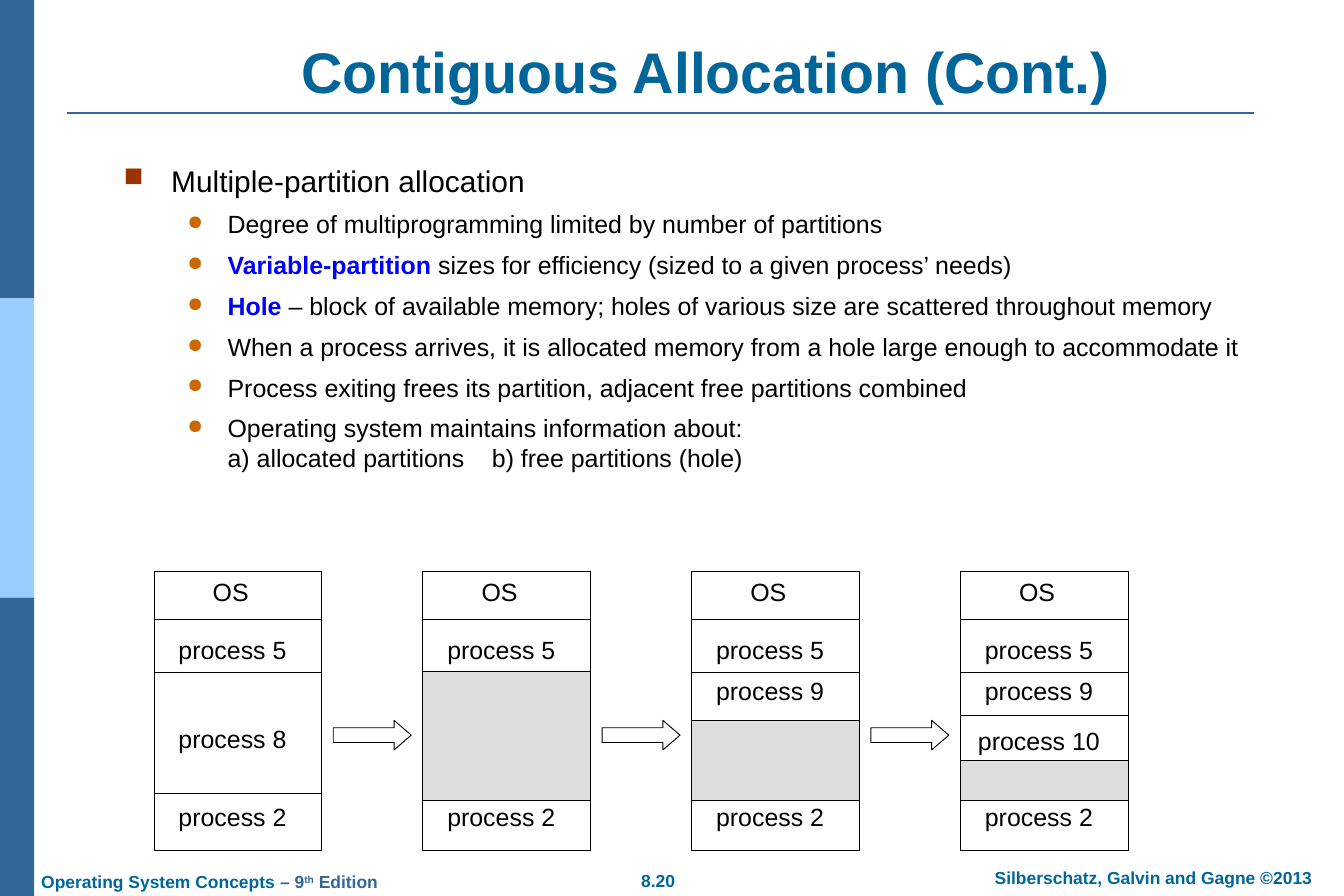
"""Build the Contiguous Allocation slide with its four memory-map columns."""
from lxml.etree import SubElement
from pptx import Presentation
from pptx.dml.color import RGBColor
from pptx.enum.shapes import MSO_CONNECTOR, MSO_SHAPE
from pptx.enum.text import MSO_ANCHOR, PP_ALIGN
from pptx.oxml.ns import qn
from pptx.util import Pt

PX = 9144
TEAL, NAVY, SKY, BLUE = "006699", "336699", "99CCFF", "0000FF"
BLACK, WHITE, GREY = "000000", "FFFFFF", "DDDDDD"
LEFT, CENTER = PP_ALIGN.LEFT, PP_ALIGN.CENTER
RECT, ARROW = MSO_SHAPE.RECTANGLE, MSO_SHAPE.RIGHT_ARROW

deck = Presentation()
deck.slide_width, deck.slide_height = 1500 * PX, 1000 * PX
page = deck.slides.add_slide(deck.slide_layouts[6])


def add_spans(para, spans, size):
    for text, color, bold in spans:
        for index, line in enumerate(text.split("\v")):
            if index:
                para.add_line_break()
            span = para.add_run()
            span.text = line
            span.font.name, span.font.size, span.font.bold = "Arial", Pt(size), bold
            span.font.color.rgb = RGBColor.from_string(color)


def add_text(place, spans, size, align=CENTER, anchor=MSO_ANCHOR.TOP, wrap=True):
    box = page.shapes.add_textbox(*(value * PX for value in place))
    frame = box.text_frame
    frame.word_wrap, frame.vertical_anchor = wrap, anchor
    frame.margin_left = frame.margin_right = 14 * PX
    frame.margin_top = frame.margin_bottom = 7 * PX
    para = frame.paragraphs[0]
    para.alignment = align
    add_spans(para, spans, size)
    return frame


COLUMN_TOP, COLUMN_WIDTH, COLUMN_HEIGHT, HOLE_BOTTOM = 638, 187, 311, 893
columns = [
    {"dividers": [691, 751, 886], "hole": None,
     "processes": [(5, 701), (8, 800), (2, 887)]},
    {"dividers": [691], "hole": 749,
     "processes": [(5, 701), (2, 887)]},
    {"dividers": [691, 751], "hole": 804,
     "processes": [(5, 701), (9, 747), (2, 887)]},
    {"dividers": [691, 751, 798], "hole": 849,
     "processes": [(5, 701), (9, 747), (10, 803), (2, 887)]},
]

blocks = [
    (RECT, 0, 0, 38, 333, NAVY, None),
    (RECT, 0, 333, 38, 334, SKY, None),
    (RECT, 0, 667, 38, 333, NAVY, None),
]
rules = [(75, 126, 1325, NAVY, 1.5)]
labels = []
for number, column in enumerate(columns):
    left = 172 + 300 * number
    blocks.append((RECT, left, COLUMN_TOP, COLUMN_WIDTH, COLUMN_HEIGHT, WHITE, BLACK))
    if column["hole"]:
        hole = column["hole"]
        blocks.append((RECT, left, hole, COLUMN_WIDTH, HOLE_BOTTOM - hole, GREY, BLACK))
        blocks.append((ARROW, left - 100, 804, 87, 33, WHITE, BLACK))
    rules += [(left, top, COLUMN_WIDTH, BLACK, 0.75) for top in column["dividers"]]
    labels.append(("OS", left + 51, 636, 69))
    labels += [(f"process {name}", left, top, 175) for name, top in column["processes"]]

for kind, left, top, width, height, fill, line in blocks:
    block = page.shapes.add_shape(kind, left * PX, top * PX, width * PX, height * PX)
    block.shadow.inherit = False
    block.fill.solid()
    block.fill.fore_color.rgb = RGBColor.from_string(fill)
    if line:
        block.line.color.rgb = RGBColor.from_string(line)
        block.line.width = Pt(0.75)
    else:
        block.line.fill.background()
    if kind == ARROW:
        block.adjustments[1] = 0.58

for left, top, width, color, weight in rules:
    rule = page.shapes.add_connector(
        MSO_CONNECTOR.STRAIGHT, left * PX, top * PX, (left + width) * PX, top * PX)
    rule.line.color.rgb = RGBColor.from_string(color)
    rule.line.width = Pt(weight)
    SubElement(rule._element.spPr, qn("a:effectLst"))

for text, left, top, width in labels:
    add_text((left, top, width, 48), [(text, BLACK, False)], 20,
             anchor=MSO_ANCHOR.MIDDLE, wrap=text != "OS")

add_text((150, 40, 1275, 84), [("Contiguous Allocation (Cont.)", TEAL, True)], 46,
         anchor=MSO_ANCHOR.BOTTOM)
add_text((665, 964, 139, 38), [("8.20", TEAL, True)], 14, wrap=False)
add_text((1065, 961, 445, 38),
         [("Silberschatz, Galvin and Gagne ©2013", TEAL, True)], 14)
edition = add_text((32, 965, 405, 38), [
    ("Operating System Concepts", TEAL, True), (" – 9", NAVY, True),
    ("th", NAVY, True), (" Edition", NAVY, True)], 14, align=LEFT, wrap=False)
edition.paragraphs[0].runs[2].font._element.set("baseline", "30000")

points = [
    ("", "Degree of multiprogramming limited by number of partitions"),
    ("Variable-partition", " sizes for efficiency (sized to a given process’ needs)"),
    ("Hole", " – block of available memory; holes of various size are scattered "
             "throughout memory"),
    ("", "When a process arrives, it is allocated memory from a hole large enough "
         "to accommodate it"),
    ("", "Process exiting frees its partition, adjacent free partitions combined"),
    ("", "Operating system maintains information about:\v"
         "a) allocated partitions\tb) free partitions (hole)"),
]
body = add_text((124, 174, 1275, 365),
                [("Multiple-partition allocation", BLACK, False)], 24, align=LEFT)
for term, rest in points:
    para = body.add_paragraph()
    para.level = 1
    para.space_before = Pt(8.8)
    spans = [(term, BLUE, True)] if term else []
    add_spans(para, spans + [(rest, BLACK, False)], 20)

for para in body.paragraphs:
    margin, hanging, mark, color, percent = (
        (116, 45, "●", "CC6600", 80) if para.level else (53, 53, "■", "993300", 90))
    props = para._p.get_or_add_pPr()
    props.set("marL", str(margin * PX))
    props.set("indent", str(-hanging * PX))
    SubElement(SubElement(props, qn("a:buClr")), qn("a:srgbClr"), val=color)
    SubElement(props, qn("a:buSzPct"), val=str(percent * 1000))
    SubElement(props, qn("a:buChar"), char=mark)

tabs = SubElement(props, qn("a:tabLst"))
for stop in (295, 411):
    SubElement(tabs, qn("a:tab"), pos=str(stop * PX), algn="l")

deck.save("out.pptx")
